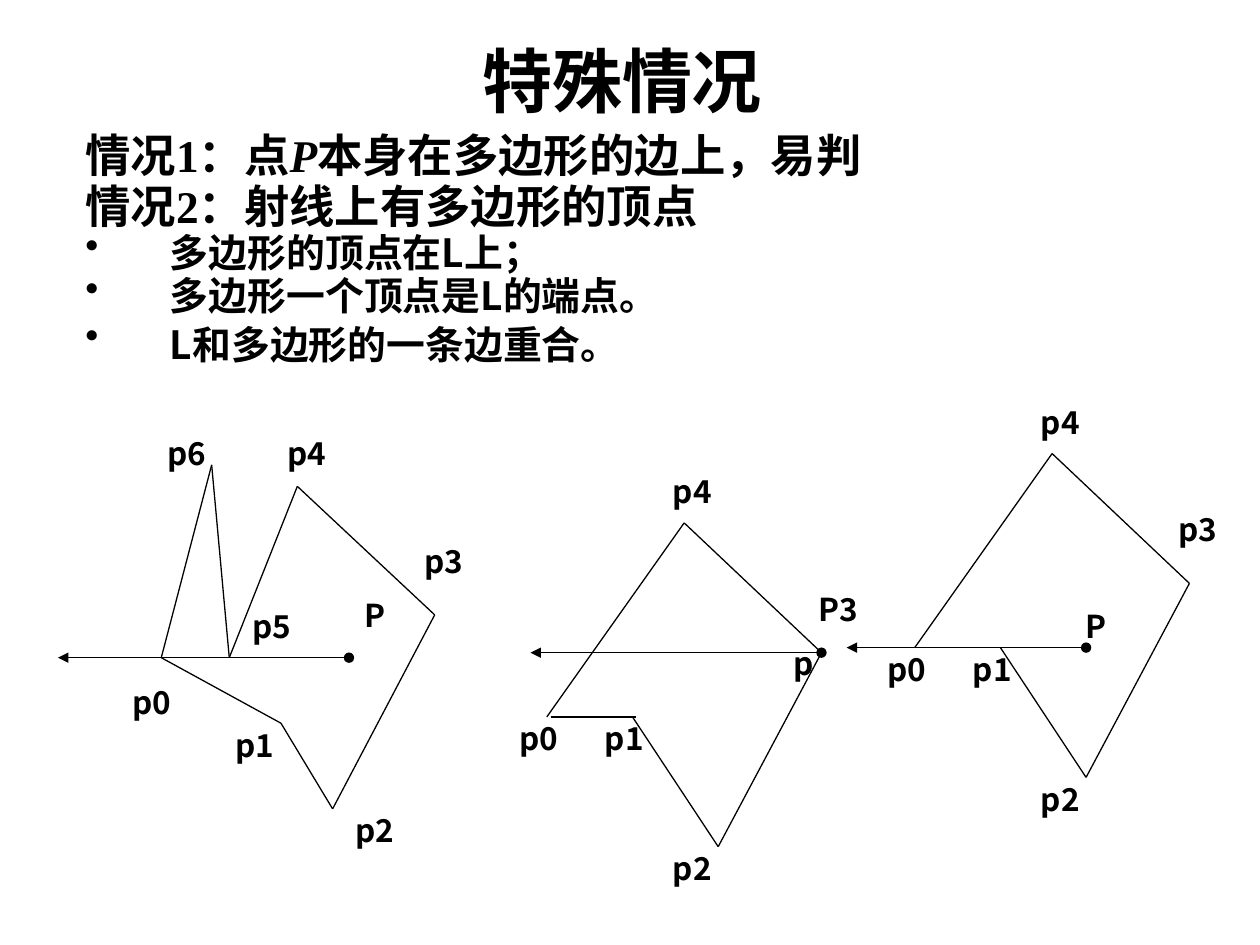
from lxml.etree import SubElement
from pptx import Presentation
from pptx.dml.color import RGBColor
from pptx.enum.shapes import MSO_CONNECTOR as CONNECTOR
from pptx.enum.text import MSO_ANCHOR as ANCHOR, PP_ALIGN as ALIGN
from pptx.oxml.ns import qn
from pptx.util import Inches, Pt

COLORS = {"ink": "000000", "background": "FFFFFF"}
SERIF = "Times New Roman"
SANS = "Noto Sans CJK SC"
LABEL_WIDTH = 0.41

STAR_POINTS = {
    "p0": (1.28, 5.22), "p1": (2.23, 5.74), "p2": (2.64, 6.42), "p3": (3.45, 4.88),
    "p4": (2.36, 3.86), "p5": (1.82, 5.22), "p6": (1.68, 3.69),
}
STAR_LABELS = [
    ("p0", 1, 5.4, 0.34), ("p4", 2.23, 3.51, 0.17), ("p1", 1.82, 5.74, 0.34),
    ("P", 2.77, 4.71, 0.34), ("p3", 3.32, 4.2, 0.51), ("p2", 2.77, 6.42, 0.34),
    ("p5", 1.95, 4.88, 0.17), ("p6", 1.28, 3.51, 0.17),
]
PENTAGON_OFFSETS = [(0, 0), (1.09, -1.54), (2.18, -0.51), (1.36, 1.03), (0.68, 0)]
PENTAGON_LABELS = [
    ("p0", -0.27, 0, 0.34), ("p4", 0.95, -1.88, 0.17),
    ("p1", 0.41, 0, 0.34), ("p2", 0.95, 1.03, 0.34),
]


def style_font(font, size, name):
    font.size = Pt(size)
    font.name = name
    font.bold = True
    font.color.rgb = RGBColor.from_string(COLORS["ink"])


def style_paragraph(paragraph, size, name):
    style_font(paragraph.font, size, name)
    default = paragraph._p.pPr.find(qn("a:defRPr"))
    SubElement(default, qn("a:ea"), typeface=SANS)


def add_text_frame(shapes, left, top, width, height):
    box = shapes.add_textbox(Inches(left), Inches(top), Inches(width), Inches(height))
    box.text_frame.word_wrap = True
    return box.text_frame


def add_title(slide):
    paragraph = add_text_frame(slide.shapes, 0.75, 0.25, 8.5, 1.25).paragraphs[0]
    paragraph.alignment = ALIGN.CENTER
    paragraph.add_run().text = "特殊情况 "
    style_paragraph(paragraph, 40, SERIF)


def add_body_paragraph(frame, runs, size, name, space, bullet=False):
    first = not frame.paragraphs[0].runs
    paragraph = frame.paragraphs[0] if first else frame.add_paragraph()
    paragraph.line_spacing = 0.7
    paragraph.space_before = Pt(0 if first else space)
    properties = paragraph._p.get_or_add_pPr()
    properties.set("marL", str(Inches(0.67)))
    properties.set("indent", str(Inches(-0.67)))
    if bullet:
        color = SubElement(properties, qn("a:buClr"))
        SubElement(color, qn("a:srgbClr"), val=COLORS["ink"])
        SubElement(properties, qn("a:buChar"), char="•")
    else:
        SubElement(properties, qn("a:buNone"))
    for text in runs:
        paragraph.add_run().text = text
    style_paragraph(paragraph, size, name)
    return paragraph


def add_body(slide):
    frame = add_text_frame(slide.shapes, 0.58, 1.08, 8.67, 1.92)
    case = add_body_paragraph(
        frame, ["情况1：点", "P", "本身在多边形的边上，易判"], 25.9, SERIF, 7)
    case.runs[1].font.italic = True
    add_body_paragraph(frame, ["情况2：射线上有多边形的顶点"], 25.9, SERIF, 7)
    for text in ("多边形的顶点在L上；", "多边形一个顶点是L的端点。"):
        add_body_paragraph(frame, [text], 22.2, SANS, 6, bullet=True)
    last = add_body_paragraph(frame, ["L和多边形的一条边重合。", " "], 22.2, SANS, 7, bullet=True)
    style_font(last.runs[1].font, 25.9, SERIF)


def add_line(shapes, start, end):
    points = [Inches(value) for value in (*start, *end)]
    line = shapes.add_connector(CONNECTOR.STRAIGHT, *points)
    line.line.color.rgb = RGBColor.from_string(COLORS["ink"])
    line.line.width = Pt(0.75)
    SubElement(line._element.spPr, qn("a:effectLst"))
    return line


def add_ray(shapes, start, end):
    outline = add_line(shapes, start, end).line._get_or_add_ln()
    SubElement(outline, qn("a:headEnd"), type="oval")
    SubElement(outline, qn("a:tailEnd"), type="triangle")


def add_label(shapes, text, left, top, height):
    frame = add_text_frame(shapes, left, top, LABEL_WIDTH, height)
    frame.margin_left = frame.margin_right = Inches(0.02)
    frame.margin_top = frame.margin_bottom = 0
    frame.vertical_anchor = ANCHOR.MIDDLE
    paragraph = frame.paragraphs[0]
    paragraph.alignment = ALIGN.CENTER
    paragraph.add_run().text = text
    style_paragraph(paragraph, 18, SANS)


def add_pentagon_figure(slide, origin, base, ray, labels):
    shapes = slide.shapes.add_group_shape().shapes
    x, y = origin
    points = [(x + dx, y + dy) for dx, dy in PENTAGON_OFFSETS]
    for start, end in zip(points, points[1:]):
        add_line(shapes, start, end)
    add_line(shapes, *base)
    for text, dx, dy, height in PENTAGON_LABELS:
        add_label(shapes, text, x + dx, y + dy, height)
    for label in labels:
        add_label(shapes, *label)
    add_ray(shapes, *ray)


def add_star_figure(slide):
    shapes = slide.shapes.add_group_shape().shapes
    points = list(STAR_POINTS.values())
    for start, end in zip(points, points[1:] + points[:1]):
        add_line(shapes, start, end)
    for label in STAR_LABELS:
        add_label(shapes, *label)
    add_ray(shapes, (2.77, 5.22), (0.46, 5.22))


def main():
    presentation = Presentation()
    presentation.slide_width = Inches(10)
    presentation.slide_height = Inches(7.5)
    slide = presentation.slides.add_slide(presentation.slide_layouts[6])
    slide.background.fill.solid()
    slide.background.fill.fore_color.rgb = RGBColor.from_string(COLORS["background"])
    add_title(slide)
    add_body(slide)
    add_pentagon_figure(
        slide, (7.26, 5.14), ((7.26, 5.14), (8.08, 5.14)), ((8.62, 5.14), (6.72, 5.14)),
        [("P", 8.49, 4.8, 0.34), ("p3", 9.3, 3.94, 0.51)])
    add_star_figure(slide)
    add_pentagon_figure(
        slide, (4.34, 5.69), ((4.37, 5.69), (5.05, 5.69)), ((6.52, 5.18), (4.21, 5.18)),
        [("P3", 6.45, 4.66, 0.34), ("p", 6.17, 5.01, 0.51)])
    presentation.save("out.pptx")


if __name__ == "__main__":
    main()
